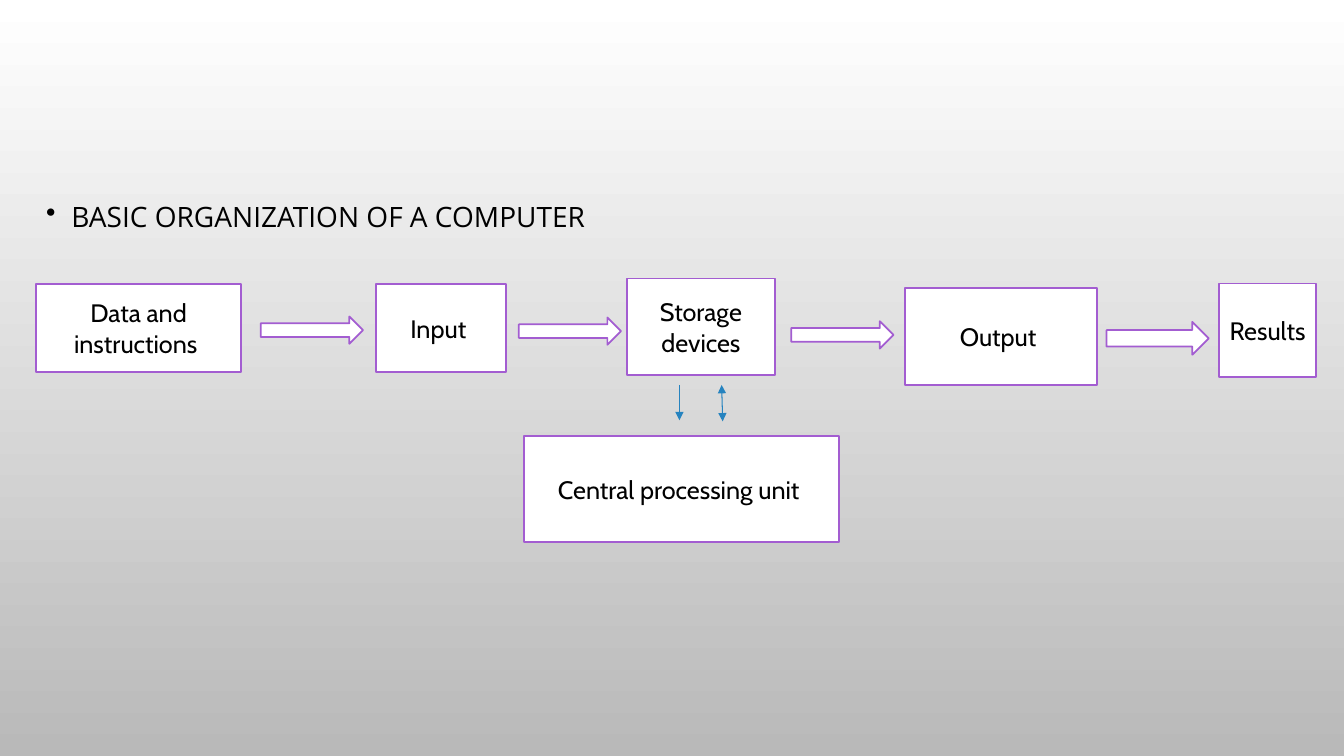
from lxml import etree
from pptx import Presentation
from pptx.dml.color import RGBColor
from pptx.enum.shapes import MSO_CONNECTOR, MSO_SHAPE
from pptx.enum.text import MSO_ANCHOR, PP_ALIGN
from pptx.oxml.ns import qn
from pptx.util import Pt

RECTANGLE = MSO_SHAPE.RECTANGLE
RIGHT_ARROW = MSO_SHAPE.RIGHT_ARROW
STRAIGHT = MSO_CONNECTOR.STRAIGHT
MIDDLE = MSO_ANCHOR.MIDDLE
CENTER = PP_ALIGN.CENTER

COLORS = {
    name: RGBColor.from_string(value)
    for name, value in {
        "top": "FFFFFF",
        "bottom": "B9B9B9",
        "fill": "FFFFFF",
        "outline": "A35DD1",
        "link": "2683BF",
        "text": "000000",
    }.items()
}

presentation = Presentation()
presentation.slide_width = Pt(960)
presentation.slide_height = Pt(540)
slide = presentation.slides.add_slide(presentation.slide_layouts[6])

background = slide.background.fill
background.gradient()
background.gradient_angle = 270
for stop, name in zip(background.gradient_stops, ("top", "bottom")):
    stop.color.rgb = COLORS[name]


def add_outlined(kind, left, top, width, height):
    """Add a white shape with a purple outline."""
    shape = slide.shapes.add_shape(kind, Pt(left), Pt(top), Pt(width), Pt(height))
    shape.shadow.inherit = False
    shape.fill.solid()
    shape.fill.fore_color.rgb = COLORS["fill"]
    shape.line.color.rgb = COLORS["outline"]
    shape.line.width = Pt(1.25)
    return shape


# Heading
heading = slide.shapes.add_textbox(Pt(25.9), Pt(133.9), Pt(844.6), Pt(40))
heading.text_frame.word_wrap = True
paragraph = heading.text_frame.paragraphs[0]
paragraph.text = "BASIC ORGANIZATION OF A COMPUTER"
paragraph.line_spacing = 1.2
paragraph.space_before = Pt(10)
paragraph.font.name = "Open Sans"
paragraph.font.size = Pt(20)
paragraph.font.color.rgb = COLORS["text"]
properties = paragraph._p.get_or_add_pPr()
properties.set("marL", str(Pt(18)))
properties.set("indent", str(-Pt(18)))
bullet = etree.Element(qn("a:buChar"), char="•")
properties.insert_element_before(bullet, "a:tabLst", "a:defRPr", "a:extLst")

# Stages: text, left, top, width, height
stages = [
    ("Data and instructions ", 25.9, 203, 146.2, 62.6),
    ("Input ", 268.6, 203, 92.9, 62.6),
    ("Storage devices", 447.8, 198.9, 105.8, 69.1),
    ("Output ", 646.6, 206, 136.8, 69.1),
    ("Results ", 870.5, 202.6, 69.8, 67),
    ("Central processing unit ", 374.4, 311.5, 224.9, 75.9),
]
for text, *box in stages:
    stage = add_outlined(RECTANGLE, *box)
    stage.text_frame.word_wrap = True
    stage.text_frame.vertical_anchor = MIDDLE
    paragraph = stage.text_frame.paragraphs[0]
    paragraph.text = text
    paragraph.alignment = CENTER
    paragraph.font.name = "Cabin"
    paragraph.font.size = Pt(18)
    paragraph.font.color.rgb = COLORS["text"]

# Flow arrows: left, top, height
for left, top, height in [
    (186.3, 226.1, 19.5),
    (370.6, 226.8, 19.5),
    (565.2, 229.5, 19.5),
    (790.4, 229.9, 23.5),
]:
    add_outlined(RIGHT_ARROW, left, top, 73, height)

# Links between storage and processor: start x, end x, end y, arrowheads
for start_x, end_x, end_y, ends in [
    (485.3, 485.3, 300.2, ["tailEnd"]),
    (515.5, 516.2, 301, ["headEnd", "tailEnd"]),
]:
    link = slide.shapes.add_connector(
        STRAIGHT, Pt(start_x), Pt(275), Pt(end_x), Pt(end_y)
    )
    link.line.color.rgb = COLORS["link"]
    link.line.width = Pt(0.75)
    for end in ends:
        etree.SubElement(link.line._get_or_add_ln(), qn(f"a:{end}"), type="triangle")
    etree.SubElement(link._element.spPr, qn("a:effectLst"))

presentation.save("out.pptx")
